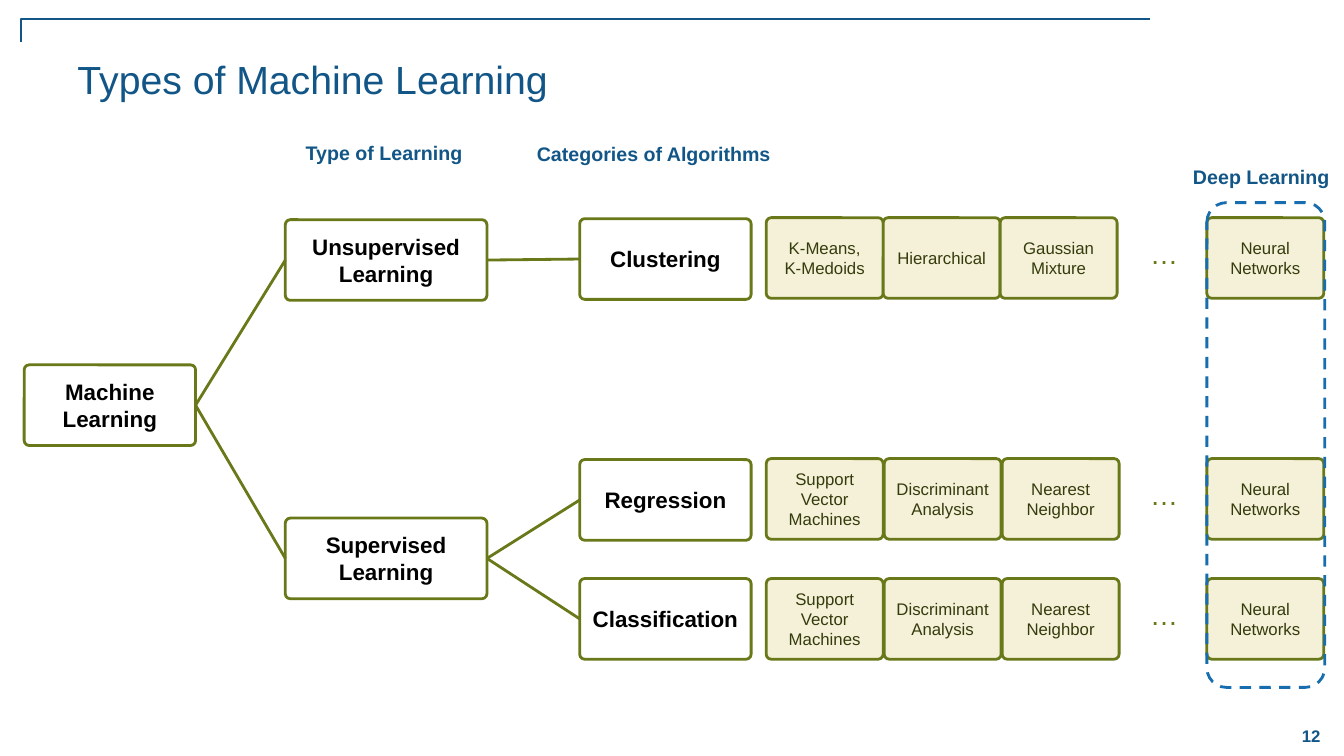
from typing import NamedTuple

from lxml import etree
from pptx import Presentation
from pptx import util as u
from pptx.dml.color import RGBColor
from pptx.enum import dml, shapes, text
from pptx.oxml.ns import qn

CELL = u.Inches(0.1)
COLUMNS, ROWS = 133.3, 75
NAVY = RGBColor(0x12, 0x56, 0x87)
BLUE = RGBColor(0x17, 0x6D, 0xAD)
OLIVE = RGBColor(0x69, 0x78, 0x19)
DARK_OLIVE = RGBColor(0x35, 0x3C, 0x0C)
CREAM = RGBColor(0xF5, 0xF1, 0xD9)
BLACK = RGBColor(0, 0, 0)
LEFT, CENTER = text.PP_ALIGN.LEFT, text.PP_ALIGN.CENTER
TOP, MIDDLE = text.MSO_ANCHOR.TOP, text.MSO_ANCHOR.MIDDLE


class Box(NamedTuple):
    """A region measured in grid columns and rows."""
    left: float
    top: float
    width: float
    height: float

    def lengths(self):
        """Return the region as slide lengths."""
        return [round(side * CELL) for side in self]


def write(frame, wording, size, color, bold=False, align=CENTER, anchor=MIDDLE, wrap=True):
    """Fill a text frame; a newline starts a paragraph and a vertical tab breaks a line."""
    frame.word_wrap = wrap
    frame.vertical_anchor = anchor
    for number, line in enumerate(wording.split("\n")):
        paragraph = frame.add_paragraph() if number else frame.paragraphs[0]
        paragraph.alignment = align
        for position, part in enumerate(line.split("\v")):
            if position:
                paragraph.add_line_break()
            run = paragraph.add_run()
            run.text = part
            run.font.name = "Arial"
            run.font.size = u.Pt(size)
            run.font.bold = bold
            run.font.color.rgb = color


def label(slide, box, wording, size, color, **style):
    """Place free text in a box."""
    frame = slide.shapes.add_textbox(*box.lengths()).text_frame
    write(frame, wording, size, color, **style)


def rounded(slide, box, color, corner, fill=None):
    """Draw an outlined rounded rectangle."""
    outline = slide.shapes.add_shape(shapes.MSO_SHAPE.ROUNDED_RECTANGLE, *box.lengths())
    outline.shadow.inherit = False
    outline.adjustments[0] = corner
    if fill is None:
        outline.fill.background()
    else:
        outline.fill.solid()
        outline.fill.fore_color.rgb = fill
    outline.line.color.rgb = color
    outline.line.width = u.Pt(2)
    return outline


def node(slide, box, wording):
    """Draw one node of the learning tree."""
    card = rounded(slide, box, OLIVE, 0.062)
    write(card.text_frame, wording, 16, BLACK, bold=True)
    return card


def branch(slide, parent, child):
    """Join the right side of a parent to the left side of a child."""
    line = slide.shapes.add_connector(shapes.MSO_CONNECTOR.STRAIGHT, 0, 0, 0, 0)
    line.begin_connect(parent, 3)
    line.end_connect(child, 1)
    line.line.color.rgb = OLIVE
    line.line.width = u.Pt(2)
    etree.SubElement(line._element.spPr, qn("a:effectLst"))


def corner_rule(slide, box):
    """Draw the thin rule along the top and left edges of a box."""
    left, top, width, height = box.lengths()
    builder = slide.shapes.build_freeform(left + width, top)
    builder.add_line_segments([(left, top), (left, top + height)], close=False)
    rule = builder.convert_to_shape()
    rule.shadow.inherit = False
    rule.fill.background()
    rule.line.color.rgb = NAVY
    rule.line.width = u.Pt(1)


def learning_tree(slide, box):
    """Draw the tree from machine learning to the categories of algorithms."""
    def place(column, row, width, wording):
        return node(slide, Box(box.left + column, box.top + row, width, 8), wording)

    root = place(0, 14.5, 17, "Machine\vLearning")
    unsupervised = place(25.9, 0.1, 20, "Unsupervised\vLearning")
    supervised = place(25.9, 29.7, 20, "Supervised\vLearning")
    clustering, regression, classification = [
        place(55.1, row, 17, wording)
        for row, wording in ((0, "Clustering"), (23.9, "Regression"), (35.7, "Classification"))]
    for parent, child in ((root, supervised), (root, unsupervised),
                          (unsupervised, clustering),
                          (supervised, regression), (supervised, classification)):
        branch(slide, parent, child)


def algorithm_row(slide, box, step, names):
    """Draw neighbouring algorithm tiles, an ellipsis and the closing neural networks tile."""
    width = 11.6
    columns = [step * number for number in range(len(names))] + [box.width - width]
    for column, name in zip(columns, names + ["Neural Networks"]):
        tile = rounded(slide, Box(box.left + column, box.top, width, box.height),
                       OLIVE, 0.062, CREAM)
        write(tile.text_frame, name, 12, DARK_OLIVE)
    label(slide, Box(box.left + 37.1, box.top + 1.4, 4.5, 4.4), "…", 20, OLIVE,
          align=LEFT, anchor=TOP)


def heading(slide, box, wording):
    """Write a bold heading above a column."""
    label(slide, box, wording, 14, NAVY, bold=True, anchor=TOP, wrap=False)


def deep_learning(slide, box):
    """Draw the dashed deep learning region with its heading above."""
    region = rounded(slide, box, BLUE, 0.167)
    region.line.dash_style = dml.MSO_LINE.DASH
    heading(slide, Box(box.left - 2.4, box.top - 4.2, 15.6, 3.4), "Deep Learning")


def main():
    """Build and save the slide."""
    deck = Presentation()
    deck.slide_width, deck.slide_height = round(COLUMNS * CELL), ROWS * CELL
    slide = deck.slides.add_slide(deck.slide_layouts[6])

    corner_rule(slide, Box(2.1, 1.9, 112, 2.3))
    label(slide, Box(6.7, 5, 120, 10.8), "Types of Machine Learning", 28, NAVY,
          align=LEFT, anchor=TOP)
    heading(slide, Box(29.3, 13.5, 17.6, 3.4), "Type of Learning")
    heading(slide, Box(52.2, 13.6, 25.3, 3.4), "Categories of Algorithms")
    learning_tree(slide, Box(2.4, 21.7, 72.1, 43.7))

    predictors = ["Support Vector Machines", "Discriminant Analysis", "Nearest Neighbor"]
    clusterers = ["K-Means,\nK-Medoids", "Hierarchical", "Gaussian Mixture"]
    for top, step, names in ((21.6, 11.6, clusterers), (45.5, 11.7, predictors),
                             (57.4, 11.7, predictors)):
        algorithm_row(slide, Box(76, top, 55.3, 8), step, names)
    deep_learning(slide, Box(119.7, 20.1, 11.7, 48.1))
    label(slide, Box(126.7, 70.9, 6.7, 4.2), "12", 12, NAVY, bold=True)

    deck.save("out.pptx")


if __name__ == "__main__":
    main()
